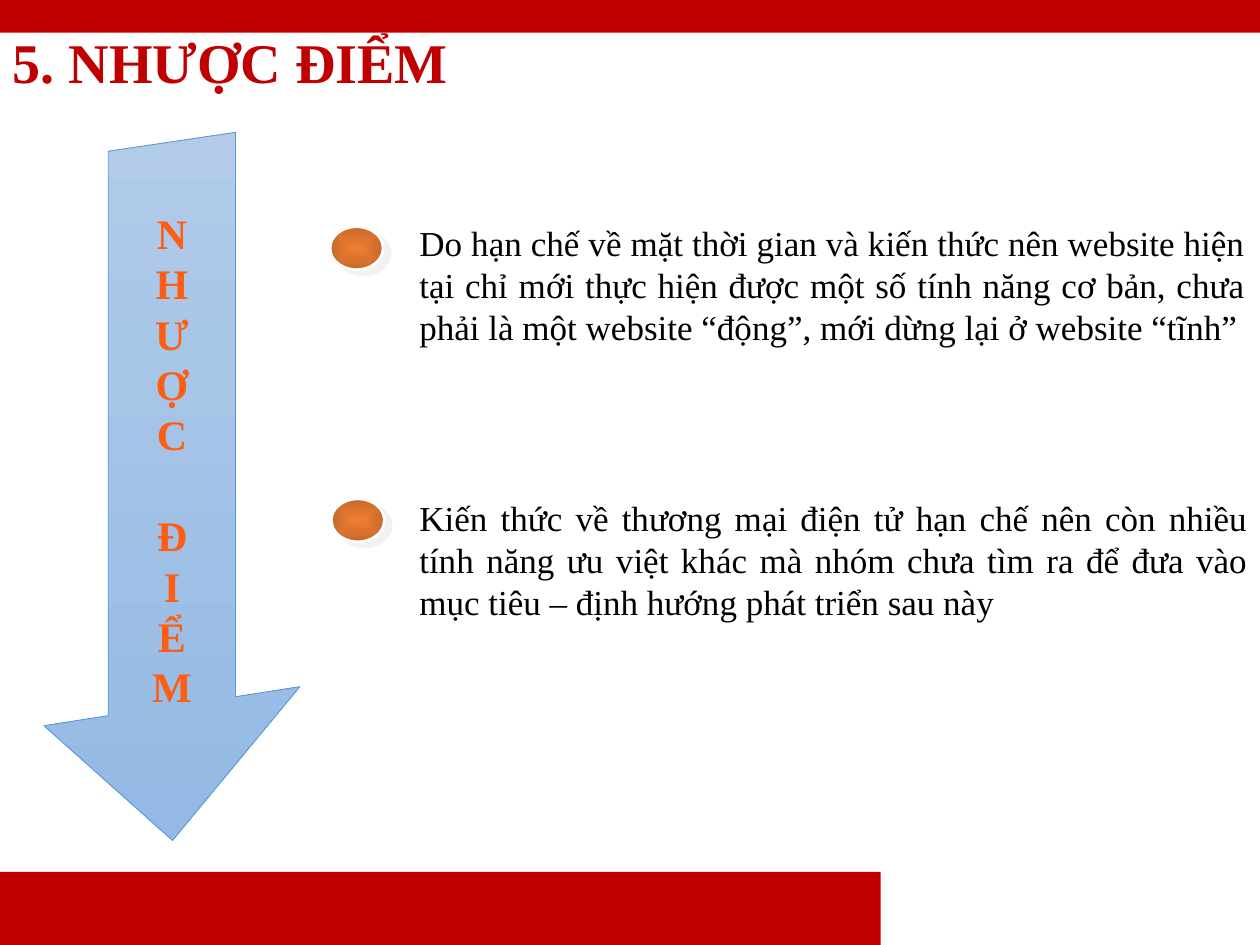
from lxml import etree
from pptx import Presentation
from pptx.dml.color import RGBColor
from pptx.enum import shapes, text
from pptx.oxml import parse_xml
from pptx.oxml.ns import nsdecls, qn
from pptx.util import Inches, Pt

RED = RGBColor(0xC0, 0x00, 0x00)
ORANGE = RGBColor(0xFF, 0x5D, 0x12)
BLACK = RGBColor(0x00, 0x00, 0x00)
WHITE = RGBColor(0xFF, 0xFF, 0xFF)
BLUE = RGBColor(0x5B, 0x9B, 0xD5)
ARROW_STOPS = RGBColor(0xB1, 0xCB, 0xE9), RGBColor(0x93, 0xB9, 0xE4)
BULLET_STOPS = RGBColor(0xED, 0x7D, 0x31), RGBColor(0xC7, 0x69, 0x29)

POINTS = [
    "Do hạn chế về mặt thời gian và kiến thức nên website hiện tại chỉ mới thực hiện được "
    "một số tính năng cơ bản, chưa phải là một website “động”, mới dừng lại ở website “tĩnh”",
    "Kiến thức về thương mại điện tử hạn chế nên còn nhiều tính năng ưu việt khác mà nhóm "
    "chưa tìm ra để đưa vào mục tiêu – định hướng phát triển sau này",
]


def write(p, content, align, size, color, bold):
    p.alignment = align
    r = p.add_run()
    r.text = content
    fmt = {"name": "Times New Roman", "size": Pt(size), "bold": bold}
    for key, value in fmt.items():
        setattr(r.font, key, value)
    r.font.color.rgb = color


def gradient(sp, colors, line_color, line_width):
    sp.fill.gradient()
    sp.fill.gradient_angle = 270
    for stop, color, position in zip(sp.fill.gradient_stops, colors, (0, 1)):
        stop.color.rgb = color
        stop.position = position
    sp.line.color.rgb = line_color
    sp.line.width = Pt(line_width)
    sp.shadow.inherit = False


prs = Presentation()
prs.slide_width, prs.slide_height = Inches(10), Inches(7.5)
s = prs.slides.add_slide(prs.slide_layouts[5])

for top, width, height in [(6.92, 6.99, 0.58), (0, 10, 0.26)]:
    sp = s.shapes.add_shape(shapes.MSO_SHAPE.RECTANGLE, 0, Inches(top), Inches(width), Inches(height))
    sp.fill.solid()
    sp.fill.fore_color.rgb = RED
    sp.line.fill.background()
    sp.shadow.inherit = False

title = s.shapes.title
box = {"left": 0, "top": Inches(0.18), "width": Inches(9.1), "height": Inches(0.67)}
for key, value in box.items():
    setattr(title, key, value)
tf = title.text_frame
tf.auto_size = text.MSO_AUTO_SIZE.NONE
tf.vertical_anchor = text.MSO_ANCHOR.MIDDLE
tf.paragraphs[0].line_spacing = 0.9
write(tf.paragraphs[0], "5. NHƯỢC ĐIỂM", text.PP_ALIGN.LEFT, 32, RED, True)

outline = [(0.86, 1.2), (1.87, 1.05), (1.87, 5.53), (2.38, 5.45), (1.37, 6.67), (0.35, 5.76), (0.86, 5.68)]
corners = [(Inches(x), Inches(y)) for x, y in outline]
builder = s.shapes.build_freeform(*corners[0])
builder.add_line_segments(corners[1:], close=True)
arrow = builder.convert_to_shape()
gradient(arrow, ARROW_STOPS, BLUE, 0.5)
tf = arrow.text_frame
tf.vertical_anchor = text.MSO_ANCHOR.MIDDLE
tf.margin_top, tf.margin_bottom = 0, Inches(0.43)
for i, letter in enumerate("NHƯỢCĐIỂM"):
    p = tf.paragraphs[0] if i == 0 else tf.add_paragraph()
    write(p, letter, text.PP_ALIGN.CENTER, 24, ORANGE, True)
    if letter == "Đ":
        p.space_before = Pt(28.8)

for content, left, top, text_top, width in zip(POINTS, (2.62, 2.63), (1.8, 3.96), (1.71, 3.89), (6.75, 6.77)):
    sp = s.shapes.add_shape(shapes.MSO_SHAPE.OVAL, Inches(left), Inches(top), Inches(0.42), Inches(0.34))
    gradient(sp, BULLET_STOPS, WHITE, 1.5)
    props = sp._element.spPr
    lin = props.find(".//" + qn("a:lin"))
    lin.getparent().replace(lin, parse_xml(
        f'<a:path {nsdecls("a")} path="shape"><a:fillToRect l="50000" t="50000" r="50000" b="50000"/></a:path>'))
    shadow = etree.SubElement(props.find(qn("a:effectLst")), qn("a:outerShdw"),
                              dist=str(Pt(5)), dir=str(37 * 60000), algn="ctr", rotWithShape="0")
    color = etree.SubElement(shadow, qn("a:srgbClr"), val="E7E6E6")
    etree.SubElement(color, qn("a:alpha"), val="50000")

    tf = s.shapes.add_textbox(Inches(3.23), Inches(text_top), Inches(width), Inches(1.11)).text_frame
    tf.word_wrap = True
    tf.auto_size = text.MSO_AUTO_SIZE.SHAPE_TO_FIT_TEXT
    write(tf.paragraphs[0], content, text.PP_ALIGN.JUSTIFY, 20, BLACK, False)

prs.save("out.pptx")
